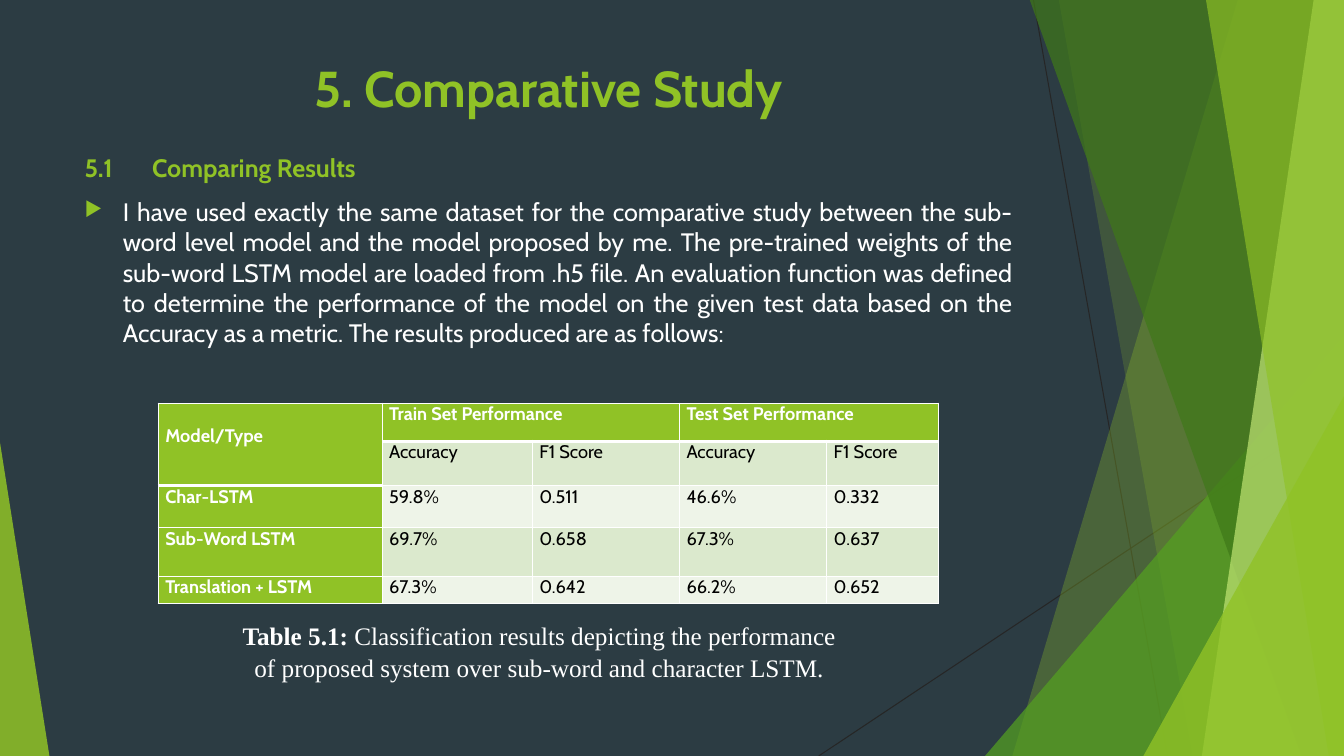
from dataclasses import dataclass

from lxml.etree import SubElement
from pptx import Presentation
from pptx.dml.color import RGBColor
from pptx.enum.shapes import MSO_CONNECTOR as Connector, MSO_SHAPE as Shape
from pptx.enum.text import MSO_ANCHOR as Anchor, PP_ALIGN as Align
from pptx.oxml.ns import qn
from pptx.util import Inches, Pt


@dataclass(frozen=True)
class Theme:
    background: str = "2C3C43"
    green: str = "90C226"
    leaf: str = "54A021"
    forest: str = "3F7819"
    lime: str = "C0E474"
    ray: str = "262626"
    white: str = "FFFFFF"
    black: str = "000000"
    band: str = "DBE9CD"
    pale_band: str = "EEF4E8"
    font: str = "Cabin"
    caption_font: str = "Times New Roman"
    title_size: int = 36
    body_size: int = 18
    table_size: int = 13


theme = Theme()


def write(paragraph, text, size=theme.body_size, color=theme.white, bold=False,
          font=theme.font, align=Align.LEFT, before=0):
    paragraph.alignment = align
    paragraph.space_before = Pt(before)
    run = paragraph.add_run()
    run.text = text
    run.font.name = font
    run.font.size = Pt(size)
    run.font.bold = bold
    run.font.color.rgb = RGBColor.from_string(color)


def paint(shape, color, opacity):
    shape.shadow.inherit = False
    shape.line.fill.background()
    shape.fill.solid()
    shape.fill.fore_color.rgb = RGBColor.from_string(color)
    tint = shape.fill._xPr.find(qn("a:solidFill"))[0]
    SubElement(tint, qn("a:alpha"), val=str(opacity * 1000))


deck = Presentation()
deck.slide_width = Inches(13.33)
deck.slide_height = Inches(7.5)
slide = deck.slides.add_slide(deck.slide_layouts[6])
slide.background.fill.solid()
slide.background.fill.fore_color.rgb = RGBColor.from_string(theme.background)

for x1, y1, x2, y2 in [(10.25, 0, 11.58, 7.5), (13.33, 4.03, 8.12, 7.5)]:
    ray = slide.shapes.add_connector(
        Connector.STRAIGHT, Inches(x1), Inches(y1), Inches(x2), Inches(y2))
    ray.line.color.rgb = RGBColor.from_string(theme.ray)
    ray.line.width = Pt(0.75)
    SubElement(ray._element.spPr, qn("a:effectLst"))

facets = [
    ("pane", (12.28, 10.04), theme.green, 30),
    ("pane", (10.5, 11.83), theme.green, 20),
    ("triangle", (9.77, 3.33, 3.56, 1), theme.leaf, 72),
    ("pane", (10.21, 12.91), theme.forest, 70),
    ("pane", (13.03, 11.92), theme.lime, 70),
    ("pane", (11.96, 13.18), theme.green, 65),
    ("triangle", (11.34, 3.93, 1.99, 1), theme.green, 80),
    ("triangle", (0, 4.39, 0.49, 0), theme.green, 85),
]
for kind, geometry, color, opacity in facets:
    if kind == "pane":
        top_x, bottom_x = geometry
        outline = slide.shapes.build_freeform(Inches(top_x), Inches(-0.01))
        corners = [(13.33, -0.01), (13.33, 7.5), (bottom_x, 7.5)]
        outline.add_line_segments([(Inches(x), Inches(y)) for x, y in corners])
        facet = outline.convert_to_shape()
    else:
        left, top, width, apex = geometry
        facet = slide.shapes.add_shape(
            Shape.ISOSCELES_TRIANGLE, Inches(left), Inches(top),
            Inches(width), Inches(7.5 - top))
        facet.adjustments[0] = apex
    paint(facet, color, opacity)

frames = []
for left, top, width, height in [
    (0.74, 0.52, 9.4, 1.44), (0.74, 1.46, 9.4, 6.04), (2.21, 6.09, 7.1, 1.06),
]:
    frame = slide.shapes.add_textbox(
        Inches(left), Inches(top), Inches(width), Inches(height)).text_frame
    frame.word_wrap = True
    frame.vertical_anchor = Anchor.TOP
    frames.append(frame)
title, body, caption = frames

write(title.paragraphs[0], "5. Comparative Study", size=theme.title_size,
      color=theme.green, bold=True, align=Align.CENTER)

heading = body.paragraphs[0]
write(heading, "5.1\tComparing Results", color=theme.green, bold=True)
tabs = SubElement(heading._p.get_or_add_pPr(), qn("a:tabLst"))
SubElement(tabs, qn("a:tab"), pos=str(Inches(0.67)), algn="l")

account = body.add_paragraph()
write(account,
      "I have used exactly the same dataset for the comparative study between "
      "the sub-word level model and the model proposed by me. The pre-trained "
      "weights of the sub-word LSTM model are loaded from .h5 file. An "
      "evaluation function was defined to determine the performance of the "
      "model on the given test data based on the Accuracy as a metric. The "
      "results produced are as follows:",
      align=Align.JUSTIFY, before=10)
bullet = account._p.get_or_add_pPr()
bullet.set("marL", str(Inches(0.38)))
bullet.set("indent", str(Inches(-0.38)))
bullet_color = SubElement(bullet, qn("a:buClr"))
SubElement(bullet_color, qn("a:srgbClr"), val=theme.green)
SubElement(bullet, qn("a:buSzPct"), val="80000")
SubElement(bullet, qn("a:buChar"), char="▶")

results = [
    ["Model/Type", "Train Set Performance", "", "Test Set Performance", ""],
    ["", "Accuracy", "F1 Score", "Accuracy", "F1 Score"],
    ["Char-LSTM", "59.8%", "0.511", "46.6%", "0.332"],
    ["Sub-Word LSTM", "69.7%", "0.658", "67.3%", "0.637"],
    ["Translation + LSTM", "67.3%", "0.642", "66.2%", "0.652"],
]
column_widths = [2.22, 1.49, 1.46, 1.46, 1.11]
row_heights = [0.38, 0.43, 0.42, 0.48, 0.27]
table = slide.shapes.add_table(
    len(results), len(column_widths), Inches(1.57), Inches(4),
    Inches(sum(column_widths)), Inches(sum(row_heights))).table
for column, width in zip(table.columns, column_widths):
    column.width = Inches(width)
for row, height in zip(table.rows, row_heights):
    row.height = Inches(height)
for first, last in [((0, 0), (1, 0)), ((0, 1), (0, 2)), ((0, 3), (0, 4))]:
    table.cell(*first).merge(table.cell(*last))

for r, labels in enumerate(results):
    for c, label in enumerate(labels):
        cell = table.cell(r, c)
        is_header = r == 0 or c == 0
        stripe = theme.band if r % 2 else theme.pale_band
        cell.fill.solid()
        cell.fill.fore_color.rgb = RGBColor.from_string(
            theme.green if is_header else stripe)
        cell.margin_left = cell.margin_right = Inches(0.07)
        cell.margin_top = Inches(0.22 if label == "Model/Type" else 0)
        cell.margin_bottom = 0
        if label:
            write(cell.text_frame.paragraphs[0], label, size=theme.table_size,
                  color=theme.white if is_header else theme.black,
                  bold=is_header, align=Align.JUSTIFY)
        else:
            cell.text_frame.paragraphs[0].font.size = Pt(theme.table_size)
        header_rows = 2 if c == 0 else 1
        borders = {
            "lnL": 1, "lnR": 1,
            "lnT": 3 if r == header_rows else 1,
            "lnB": 3 if r < header_rows else 1,
        }
        cell_format = cell._tc.get_or_add_tcPr()
        for position, (edge, weight) in enumerate(borders.items()):
            border = SubElement(cell_format, qn(f"a:{edge}"), w=str(Pt(weight)))
            border_fill = SubElement(border, qn("a:solidFill"))
            SubElement(border_fill, qn("a:srgbClr"), val=theme.white)
            cell_format.insert(position, border)

caption.margin_right = Inches(0.92)
summary = caption.paragraphs[0]
summary.line_spacing = 1.05
for text, bold in [
    ("Table 5.1: ", True),
    ("Classification results depicting the performance of proposed system "
     "over sub-word and character LSTM.", False),
]:
    write(summary, text, bold=bold, font=theme.caption_font, align=Align.CENTER)

deck.save("out.pptx")
